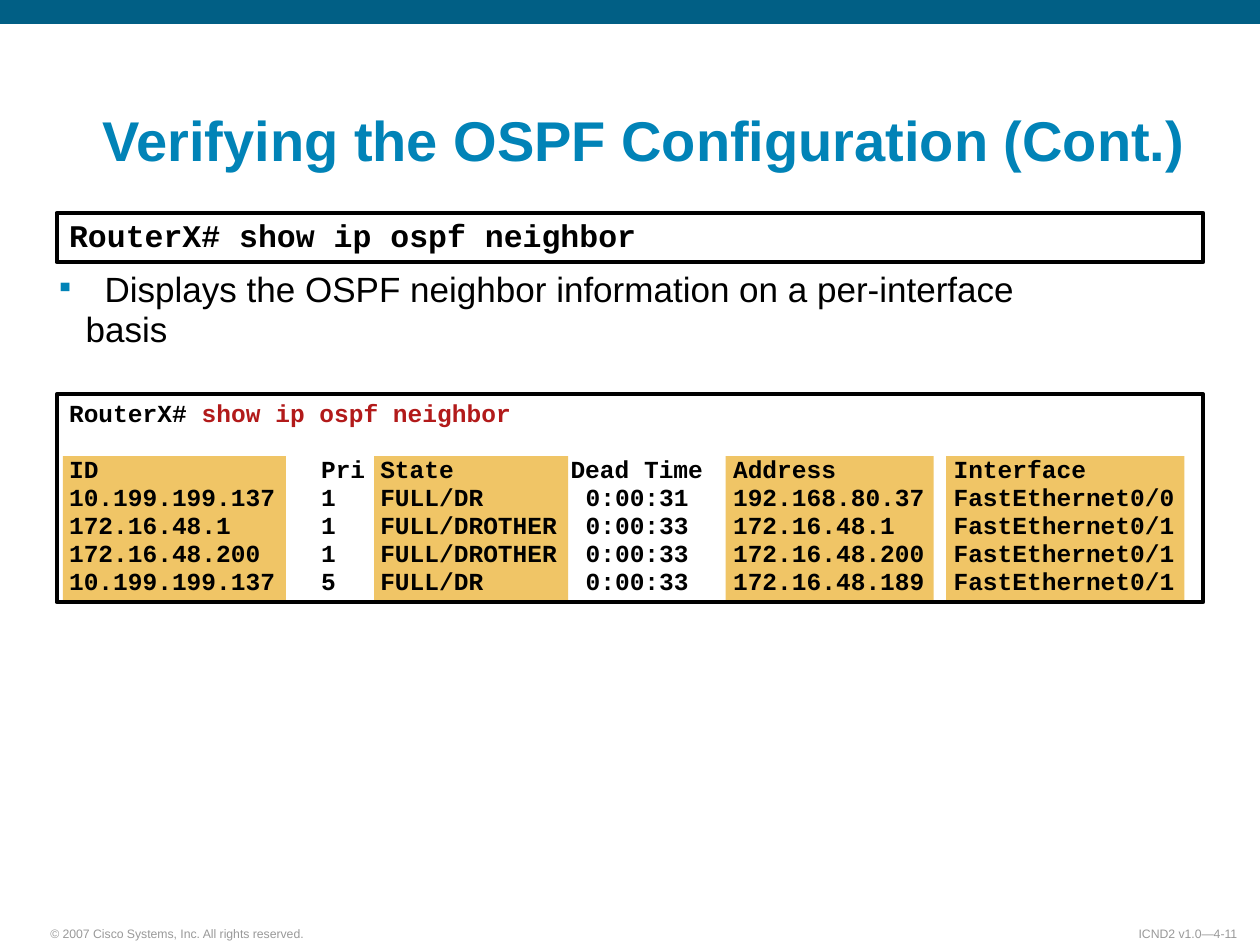
from lxml import etree
from pptx import Presentation
from pptx.dml.color import RGBColor
from pptx.enum.shapes import MSO_SHAPE
from pptx.enum.text import MSO_ANCHOR, PP_ALIGN
from pptx.oxml.ns import qn
from pptx.util import Inches, Pt

RECTANGLE = MSO_SHAPE.RECTANGLE
TOP, BOTTOM = MSO_ANCHOR.TOP, MSO_ANCHOR.BOTTOM
LEFT, RIGHT = PP_ALIGN.LEFT, PP_ALIGN.RIGHT

BLACK = RGBColor(0x00, 0x00, 0x00)
NAVY = RGBColor(0x01, 0x5F, 0x85)
BLUE = RGBColor(0x01, 0x83, 0xB7)
GRAY = RGBColor(0x99, 0x99, 0x99)
GOLD = RGBColor(0xF0, 0xC5, 0x66)
RED = RGBColor(0xB2, 0x1A, 0x1A)
BODY_SPACING = 0.95

deck = Presentation()
deck.slide_width, deck.slide_height = Inches(10), Inches(7.5)
page = deck.slides.add_slide(deck.slide_layouts[6])


def add_box(left, top, width, height, inset_x=0, inset_y=0, anchor=TOP, fill=None, border=None):
    """Add a rectangle with left-aligned, wrapping text."""
    box = page.shapes.add_shape(RECTANGLE, Inches(left), Inches(top), Inches(width), Inches(height))
    box.shadow.inherit = False
    if fill is None:
        box.fill.background()
    else:
        box.fill.solid()
        box.fill.fore_color.rgb = fill
    if border is None:
        box.line.fill.background()
    else:
        box.line.color.rgb = border
        box.line.width = Pt(2.25)
    frame = box.text_frame
    frame.word_wrap = True
    frame.vertical_anchor = anchor
    frame.margin_left = frame.margin_right = Inches(inset_x)
    frame.margin_top = frame.margin_bottom = Inches(inset_y)
    frame.paragraphs[0].alignment = LEFT
    return frame


def add_span(para, text, size, color, font="Arial", bold=False):
    span = para.add_run()
    span.text = text
    span.font.name = font
    span.font.size = Pt(size)
    span.font.bold = bold
    span.font.color.rgb = color


# Top bar and footer
add_box(0, 0, 10, 0.19, fill=NAVY)
for left, width, align, text in [
    (0.31, 2.4, LEFT, "© 2007 Cisco Systems, Inc. All rights reserved."),
    (8.61, 1.3, RIGHT, "ICND2 v1.0—4-11"),
]:
    para = add_box(left, 7.3, width, 0.21, 0.09, 0.04, BOTTOM).paragraphs[0]
    para.alignment = align
    add_span(para, text, 7, GRAY)

# Title
para = add_box(0.72, 0.5, 8.91, 0.92, 0.09, 0.04, BOTTOM).paragraphs[0]
para.line_spacing = 0.9
add_span(para, "Verifying the OSPF Configuration (Cont.)", 32, BLUE, bold=True)

# Command
para = add_box(0.45, 1.69, 9.1, 0.39, 0.1, 0.05, border=BLACK).paragraphs[0]
para.line_spacing = BODY_SPACING
add_span(para, "RouterX# show ip ospf neighbor", 18, BLACK, "Courier New", True)

# Bulleted description, with the first line set in a little further
para = add_box(0.44, 2.15, 8.24, 0.64).paragraphs[0]
para.line_spacing = BODY_SPACING
properties = para._p.get_or_add_pPr()
properties.set("marL", str(Inches(0.24)))
properties.set("indent", str(-Inches(0.24)))
bullet_color = etree.SubElement(properties, qn("a:buClr"))
etree.SubElement(bullet_color, qn("a:srgbClr"), val=str(BLUE))
etree.SubElement(properties, qn("a:buSzPct"), val="75000")
etree.SubElement(properties, qn("a:buChar"), char="▪")
tabs = etree.SubElement(properties, qn("a:tabLst"))
etree.SubElement(tabs, qn("a:tab"), pos=str(Inches(0.39)), algn="l")
add_span(para, "\tDisplays the OSPF neighbor information on a per-interface basis", 20, BLACK)

# Highlighted columns
for left, width in [(0.5, 1.77), (2.97, 1.54), (5.76, 1.65), (7.51, 1.89)]:
    add_box(left, 3.62, width, 1.15, fill=GOLD)

# Command output
frame = add_box(0.45, 3.13, 9.1, 1.65, 0.1, 0.05, border=BLACK)
para = frame.paragraphs[0]
para.line_spacing = BODY_SPACING
add_span(para, "RouterX# ", 14, BLACK, "Courier New", True)
add_span(para, "show ip ospf neighbor", 14, RED, "Courier New", True)

NEIGHBORS = [
    ("ID", "Pri", "State", "Dead Time", "Address", "Interface"),
    ("10.199.199.137", "1", "FULL/DR", "0:00:31", "192.168.80.37", "FastEthernet0/0"),
    ("172.16.48.1", "1", "FULL/DROTHER", "0:00:33", "172.16.48.1", "FastEthernet0/1"),
    ("172.16.48.200", "1", "FULL/DROTHER", "0:00:33", "172.16.48.200", "FastEthernet0/1"),
    ("10.199.199.137", "5", "FULL/DR", "0:00:33", "172.16.48.189", "FastEthernet0/1"),
]
for index, neighbor in enumerate(NEIGHBORS):
    para = frame.add_paragraph()
    para.alignment = LEFT
    para.line_spacing = BODY_SPACING
    if index == 0:
        para.space_before = Pt(15.8)
    dead_time_stop = 3.98 if index == 0 else 4.1
    tabs = etree.SubElement(para._p.get_or_add_pPr(), qn("a:tabLst"))
    for stop in (2, 2.47, dead_time_stop, 5.27, 7.02):
        etree.SubElement(tabs, qn("a:tab"), pos=str(Inches(stop)), algn="l")
    add_span(para, "\t".join(neighbor), 14, BLACK, "Courier New", True)

deck.save("out.pptx")
